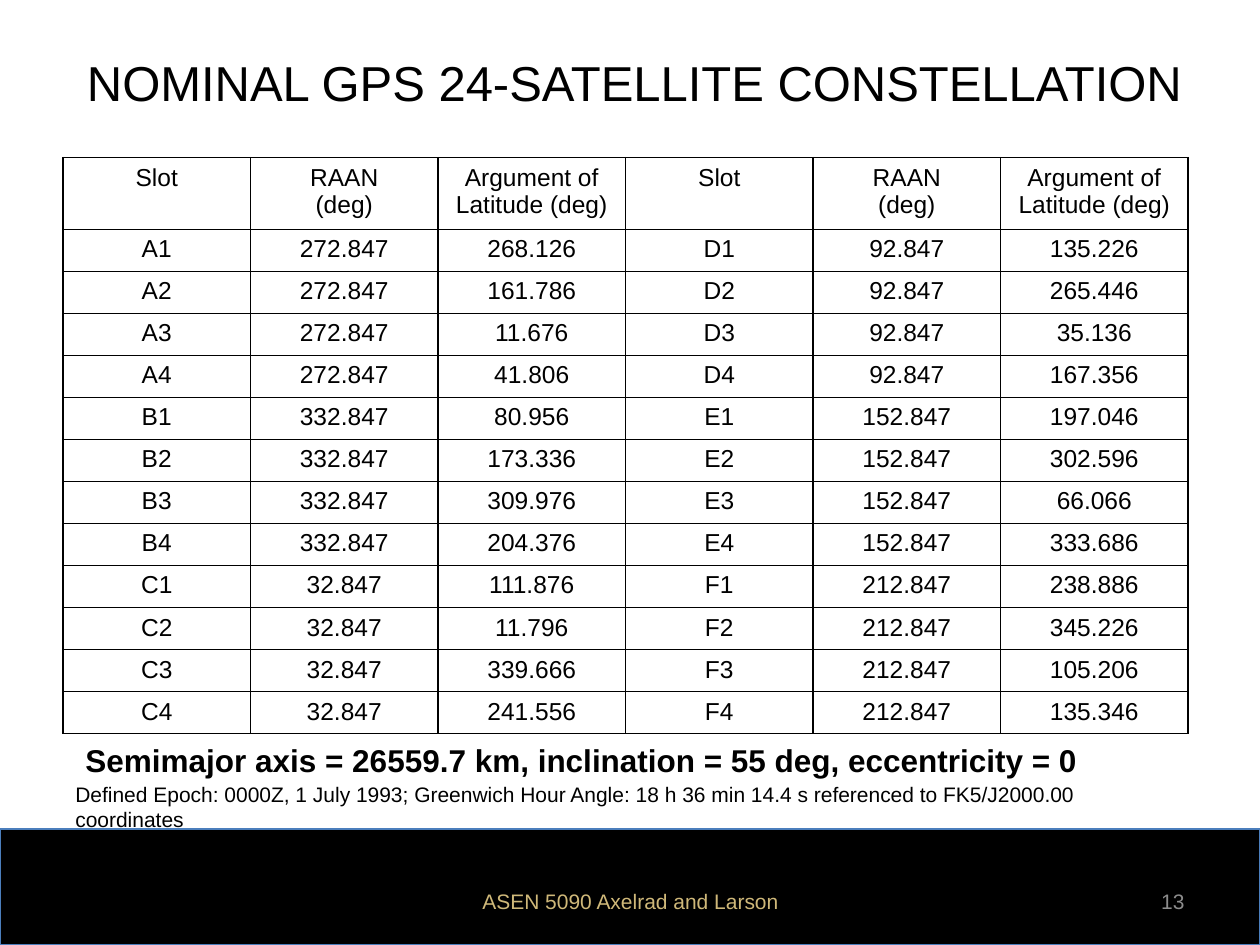
"""Builds a slide that tabulates the nominal GPS 24-satellite constellation."""
import dataclasses

import pptx
import pptx.dml.color
import pptx.enum.shapes
import pptx.enum.text
import pptx.oxml
import pptx.oxml.ns
import pptx.util

WIDE, HIGH = pptx.util.Inches(10), pptx.util.Inches(7.5)
COLS, ROWS = 100, 75
FONT = "Arial"
INK = {"black": "000000", "gold": "CFB879", "grey": "8C8C8C", "blue": "4B7EBC"}
ALIGN = pptx.enum.text.PP_ALIGN
ANCHOR = pptx.enum.text.MSO_ANCHOR

HEAD = ["Slot", "RAAN\n(deg)", "Argument of Latitude (deg)"]
FIRST, STEP = 272.847, 60
PLANES = {
    "A": ["268.126", "161.786", "11.676", "41.806"],
    "B": ["80.956", "173.336", "309.976", "204.376"],
    "C": ["111.876", "11.796", "339.666", "241.556"],
    "D": ["135.226", "265.446", "35.136", "167.356"],
    "E": ["197.046", "302.596", "66.066", "333.686"],
    "F": ["238.886", "345.226", "105.206", "135.346"],
}


@dataclasses.dataclass
class Box:
    left: float
    top: float
    width: float
    height: float

    def place(self) -> tuple[int, int, int, int]:
        return (across(self.left), down(self.top),
                across(self.width), down(self.height))


@dataclasses.dataclass
class Label:
    box: Box
    text: str
    size: int
    color: str = "black"
    align: ALIGN = ALIGN.LEFT
    anchor: ANCHOR = ANCHOR.MIDDLE
    bold: bool = False
    wrap: bool = True


LABELS = [
    Label(Box(5.2, 0.8, 90.3, 11.4), "NOMINAL GPS 24-SATELLITE CONSTELLATION",
          28, align=ALIGN.CENTER, wrap=False),
    Label(Box(5.8, 58.3, 80.7, 4),
          "Semimajor axis = 26559.7 km, inclination = 55 deg, eccentricity = 0",
          18, anchor=ANCHOR.TOP, bold=True, wrap=False),
    Label(Box(5, 62.5, 89.3, 3),
          "Defined Epoch: 0000Z, 1 July 1993; Greenwich Hour Angle: "
          "18 h 36 min 14.4 s referenced to FK5/J2000.00 coordinates", 12),
    Label(Box(34.2, 69.5, 31.7, 4), "ASEN 5090 Axelrad and Larson", 12,
          "gold", ALIGN.CENTER),
    Label(Box(71.7, 69.5, 23.3, 4), "13", 12, "grey", ALIGN.RIGHT),
]


def across(cols: float) -> int:
    return round(WIDE * cols / COLS)


def down(rows: float) -> int:
    return round(HIGH * rows / ROWS)


def tint(name: str) -> pptx.dml.color.RGBColor:
    return pptx.dml.color.RGBColor.from_string(INK[name])


def write(frame, text: str, size: int, color: str, align: ALIGN,
          bold: bool = False) -> None:
    for spot, line in enumerate(text.split("\n")):
        para = frame.add_paragraph() if spot else frame.paragraphs[0]
        para.alignment = align
        run = para.add_run()
        run.text = line
        run.font.name = FONT
        run.font.size = pptx.util.Pt(size)
        run.font.bold = bold
        run.font.color.rgb = tint(color)


def draw_label(slide, label: Label) -> None:
    frame = slide.shapes.add_textbox(*label.box.place()).text_frame
    frame.word_wrap = label.wrap
    frame.vertical_anchor = label.anchor
    write(frame, label.text, label.size, label.color, label.align, label.bold)


def draw_band(slide, box: Box) -> None:
    band = slide.shapes.add_shape(
        pptx.enum.shapes.MSO_SHAPE.RECTANGLE, *box.place())
    band.shadow.inherit = False
    band.fill.solid()
    band.fill.fore_color.rgb = tint("black")
    band.line.color.rgb = tint("blue")
    band.line.width = pptx.util.Pt(0.75)


def rule_cell(cell) -> None:
    props = cell._tc.get_or_add_tcPr()
    for side in ("lnL", "lnR", "lnT", "lnB"):
        props.append(pptx.oxml.parse_xml(
            f'<a:{side} {pptx.oxml.ns.nsdecls("a")} w="{pptx.util.Pt(1)}">'
            f'<a:solidFill><a:srgbClr val="{INK["black"]}"/></a:solidFill>'
            f'</a:{side}>'))
    cell.fill.background()


def list_slots() -> list[list[str]]:
    return [[f"{plane}{slot}", f"{(FIRST + STEP * turn) % 360:.3f}", angle]
            for turn, (plane, angles) in enumerate(PLANES.items())
            for slot, angle in enumerate(angles, 1)]


def draw_table(slide, box: Box, head: float) -> None:
    slots = list_slots()
    half = len(slots) // 2
    pairs = zip(slots[:half], slots[half:])
    data = [HEAD * 2] + [left + right for left, right in pairs]
    count = len(data[0])
    table = slide.shapes.add_table(len(data), count, *box.place()).table
    table.first_row = table.horz_banding = False
    for col in table.columns:
        col.width = across(box.width / count)
    for spot, row in enumerate(table.rows):
        row.height = down((box.height - head) / half if spot else head)
        for cell, text in zip(row.cells, data[spot]):
            write(cell.text_frame, text, 14, "black", ALIGN.CENTER)
            rule_cell(cell)


def main() -> None:
    deck = pptx.Presentation()
    deck.slide_width, deck.slide_height = WIDE, HIGH
    slide = deck.slides.add_slide(deck.slide_layouts[6])
    draw_band(slide, Box(0, 65.8, COLS, 9.2))
    draw_table(slide, Box(5, 12.5, 89.3, 45.75), 5.7)
    for label in LABELS:
        draw_label(slide, label)
    deck.save("out.pptx")


if __name__ == "__main__":
    main()
